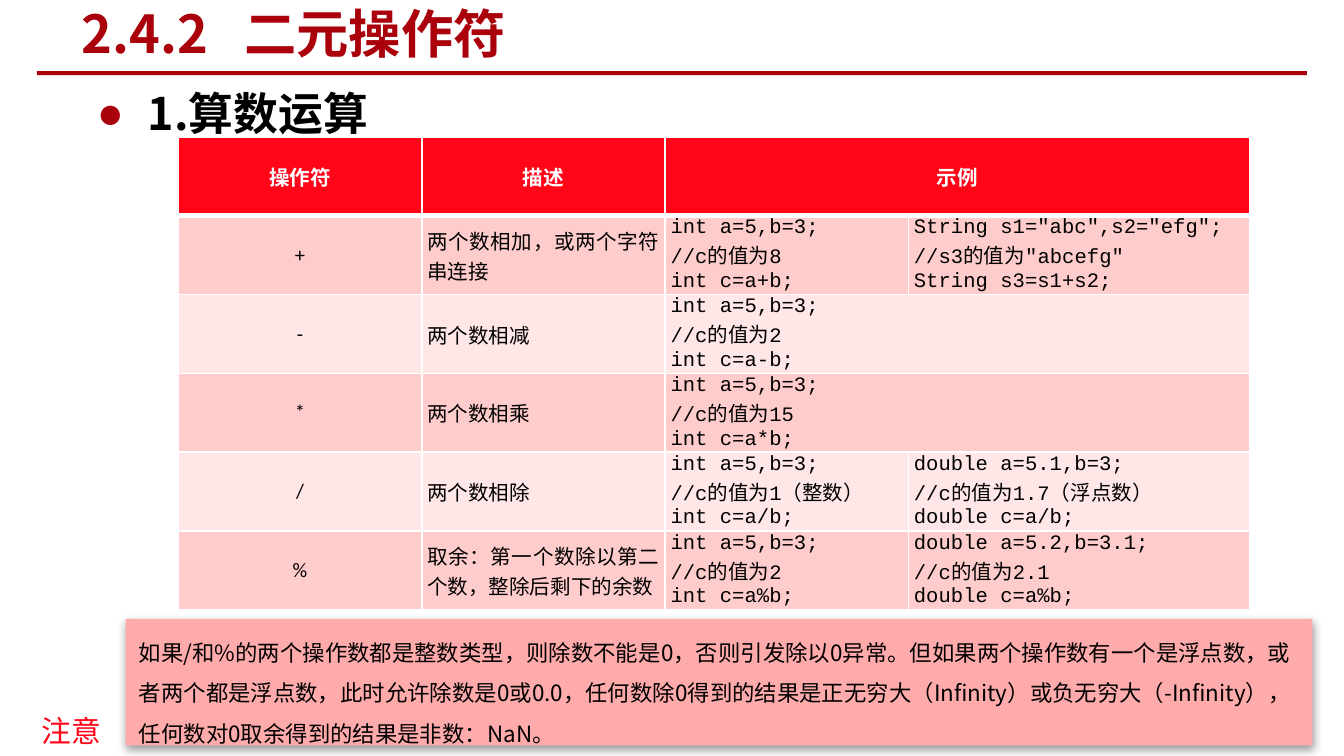
from dataclasses import dataclass
from typing import NamedTuple

from lxml import etree
from pptx import Presentation
from pptx import util as u
from pptx.dml import color
from pptx.enum import shapes, text
from pptx.oxml import ns


@dataclass(frozen=True)
class Theme:
    """Colours, fonts and type sizes."""
    dark_red: str = "AA000B"
    red: str = "FF0517"
    pink: str = "FFAAAB"
    bands: tuple = ("FFCCCC", "FFE7E8")
    white: str = "FFFFFF"
    black: str = "000000"
    heading: str = "Noto Sans CJK SC"
    table: str = "Calibri"
    code: str = "Courier New"
    bullet: str = "Arial"
    title_size: int = 28
    topic_size: int = 24
    label_size: int = 16
    note_size: int = 12
    table_size: int = 11


class Box(NamedTuple):
    """A rectangle in EMU."""
    left: int
    top: int
    width: int
    height: int


THEME = Theme()
WIDTH = u.Inches(10)
HEIGHT = WIDTH * 9 // 16
COLUMN_WEIGHTS = (5, 5, 5, 7)
HEADERS = ("操作符", "描述", "示例")
OPERATORS = (
    ("+", "两个数相加，或两个字符串连接",
     ("int a=5,b=3;", "//c的值为8", "int c=a+b;"),
     ('String s1="abc",s2="efg";', '//s3的值为"abcefg"', "String s3=s1+s2;")),
    ("-", "两个数相减", ("int a=5,b=3;", "//c的值为2", "int c=a-b;")),
    ("*", "两个数相乘", ("int a=5,b=3;", "//c的值为15", "int c=a*b;")),
    ("/", "两个数相除",
     ("int a=5,b=3;", "//c的值为1（整数）", "int c=a/b;"),
     ("double a=5.1,b=3;", "//c的值为1.7（浮点数）", "double c=a/b;")),
    ("%", "取余：第一个数除以第二个数，整除后剩下的余数",
     ("int a=5,b=3;", "//c的值为2", "int c=a%b;"),
     ("double a=5.2,b=3.1;", "//c的值为2.1", "double c=a%b;")),
)
NOTE = ("如果/和%的两个操作数都是整数类型，则除数不能是0，否则引发除以0异常。"
        "但如果两个操作数有一个是浮点数，或者两个都是浮点数，此时允许除数是0或0.0，"
        "任何数除0得到的结果是正无穷大（Infinity）或负无穷大（-Infinity），"
        "任何数对0取余得到的结果是非数：NaN。")


def share(left, top, width, height):
    """Return a box given in percent of the slide's size."""
    return Box(*(int(part * whole / 100) for part, whole in
                 zip((left, top, width, height), (WIDTH, HEIGHT) * 2)))


def add_xml(parent, tag, **values):
    """Append a drawing element with the given attributes."""
    return etree.SubElement(parent, ns.qn(f"a:{tag}"),
                            {name: str(value) for name, value in values.items()})


def paint(fill, tone):
    """Give a fill one solid colour."""
    fill.solid()
    fill.fore_color.rgb = color.RGBColor.from_string(tone)


def add_span(para, words, size, tone, font=THEME.heading, bold=False):
    """Add one formatted run to a paragraph."""
    span = para.add_run()
    span.text = words
    span.font.size, span.font.bold, span.font.name = u.Pt(size), bold, font
    span.font.color.rgb = color.RGBColor.from_string(tone)
    latin = span.font._element.find(ns.qn("a:latin"))
    latin.addnext(latin.makeelement(ns.qn("a:ea"), {"typeface": THEME.heading}))


def add_text_box(page, box, wrap=True):
    """Add a text box and return its frame."""
    frame = page.shapes.add_textbox(*box).text_frame
    frame.word_wrap = wrap
    return frame


def add_rectangle(page, box, tone):
    """Add a plain filled rectangle."""
    shape = page.shapes.add_shape(shapes.MSO_SHAPE.RECTANGLE, *box)
    shape.shadow.inherit = False
    paint(shape.fill, tone)
    shape.line.fill.background()
    return shape


def add_title(page, box):
    """Place the section number and the title after a tab."""
    frame = add_text_box(page, box)
    frame.vertical_anchor = text.MSO_ANCHOR.MIDDLE
    para = frame.paragraphs[0]
    tabs = add_xml(para._p.get_or_add_pPr(), "tabLst")
    add_xml(tabs, "tab", pos=u.Inches(1.21), algn="l")
    add_span(para, "2.4.2\t二元操作符", THEME.title_size, THEME.dark_red, bold=True)


def add_topic(page, box):
    """Place the bulleted topic line."""
    para = add_text_box(page, box).paragraphs[0]
    props = para._p.get_or_add_pPr()
    indent = u.Inches(0.38)
    props.set("marL", str(indent))
    props.set("indent", str(-indent))
    add_xml(add_xml(props, "buClr"), "srgbClr", val=THEME.dark_red)
    add_xml(props, "buFont", typeface=THEME.bullet)
    add_xml(props, "buChar", char="●")
    para.line_spacing = 1.5
    add_span(para, "1.算数运算", THEME.topic_size, THEME.black, bold=True)


def style_cell(cell, tone, bottom=1):
    """Set a cell's borders, fill, margins and anchor."""
    props = cell._tc.get_or_add_tcPr()
    for side, points in (("L", 1), ("R", 1), ("T", 1), ("B", bottom)):
        line = add_xml(props, f"ln{side}", w=u.Pt(points))
        add_xml(add_xml(line, "solidFill"), "srgbClr", val=THEME.white)
    paint(cell.fill, tone)
    cell.margin_left = cell.margin_right = u.Inches(0.04)
    cell.margin_top = cell.margin_bottom = 0
    cell.vertical_anchor = text.MSO_ANCHOR.MIDDLE


def write_cell(cell, lines, align, tone=THEME.black, font=THEME.table, bold=False):
    """Write each line as a paragraph of a cell."""
    frame = cell.text_frame
    for index, line in enumerate(lines):
        para = frame.add_paragraph() if index else frame.paragraphs[0]
        para.alignment = align
        add_span(para, line, THEME.table_size, tone, font, bold)


def add_operator_table(page, box):
    """Place the table of operators, descriptions and examples."""
    rows, columns = len(OPERATORS) + 1, len(COLUMN_WEIGHTS)
    table = page.shapes.add_table(rows, columns, *box).table
    for column, weight in zip(table.columns, COLUMN_WEIGHTS):
        column.width = box.width * weight // sum(COLUMN_WEIGHTS)
    for index, row in enumerate(table.rows):
        row.height = box.height // rows
        tone = THEME.bands[(index - 1) % 2] if index else THEME.red
        for cell in row.cells:
            style_cell(cell, tone, 1 if index else 3)
    center, justify = text.PP_ALIGN.CENTER, text.PP_ALIGN.JUSTIFY
    for column, header in enumerate(HEADERS):
        write_cell(table.cell(0, column), [header], center, THEME.white, bold=True)
    table.cell(0, 2).merge(table.cell(0, 3))
    for row, (sign, meaning, *examples) in enumerate(OPERATORS, 1):
        write_cell(table.cell(row, 0), [sign], center)
        write_cell(table.cell(row, 1), [meaning], justify)
        for column, lines in enumerate(examples, 2):
            write_cell(table.cell(row, column), lines, justify, font=THEME.code)
        if len(examples) == 1:
            table.cell(row, 2).merge(table.cell(row, 3))


def add_note(page, box):
    """Place the shadowed note panel."""
    shape = add_rectangle(page, box, THEME.pink)
    effects = shape._element.spPr.find(ns.qn("a:effectLst"))
    shadow = add_xml(effects, "outerShdw", blurRad=u.Pt(5), dist=u.Pt(1.6),
                     dir=90 * 60000, rotWithShape=0)
    add_xml(add_xml(shadow, "srgbClr", val=THEME.black), "alpha", val=38000)
    frame = shape.text_frame
    frame.word_wrap = True
    frame.vertical_anchor = text.MSO_ANCHOR.TOP
    para = frame.paragraphs[0]
    para.alignment = text.PP_ALIGN.LEFT
    para._p.get_or_add_pPr().set("hangingPunct", "0")
    para.line_spacing = 1.5
    add_span(para, NOTE, THEME.note_size, THEME.black)


def add_label(page, box):
    """Place the label beside the note."""
    para = add_text_box(page, box, wrap=False).paragraphs[0]
    add_span(para, "注意", THEME.label_size, THEME.red)


def main():
    """Build and save the slide."""
    deck = Presentation()
    deck.slide_width, deck.slide_height = WIDTH, HEIGHT
    page = deck.slides.add_slide(deck.slide_layouts[6])
    add_rectangle(page, share(2.74, 9.4, 94.5, 0.55), THEME.dark_red)
    add_topic(page, share(6.22, 6.94, 89.8, 36.1))
    add_title(page, share(5.12, 0.36, 53, 8))
    add_operator_table(page, share(13.27, 18.1, 79.7, 62.6))
    add_note(page, share(9.36, 81.9, 88.3, 16.7))
    add_label(page, share(2.1, 93.4, 6.5, 6.6))
    deck.save("out.pptx")


if __name__ == "__main__":
    main()
